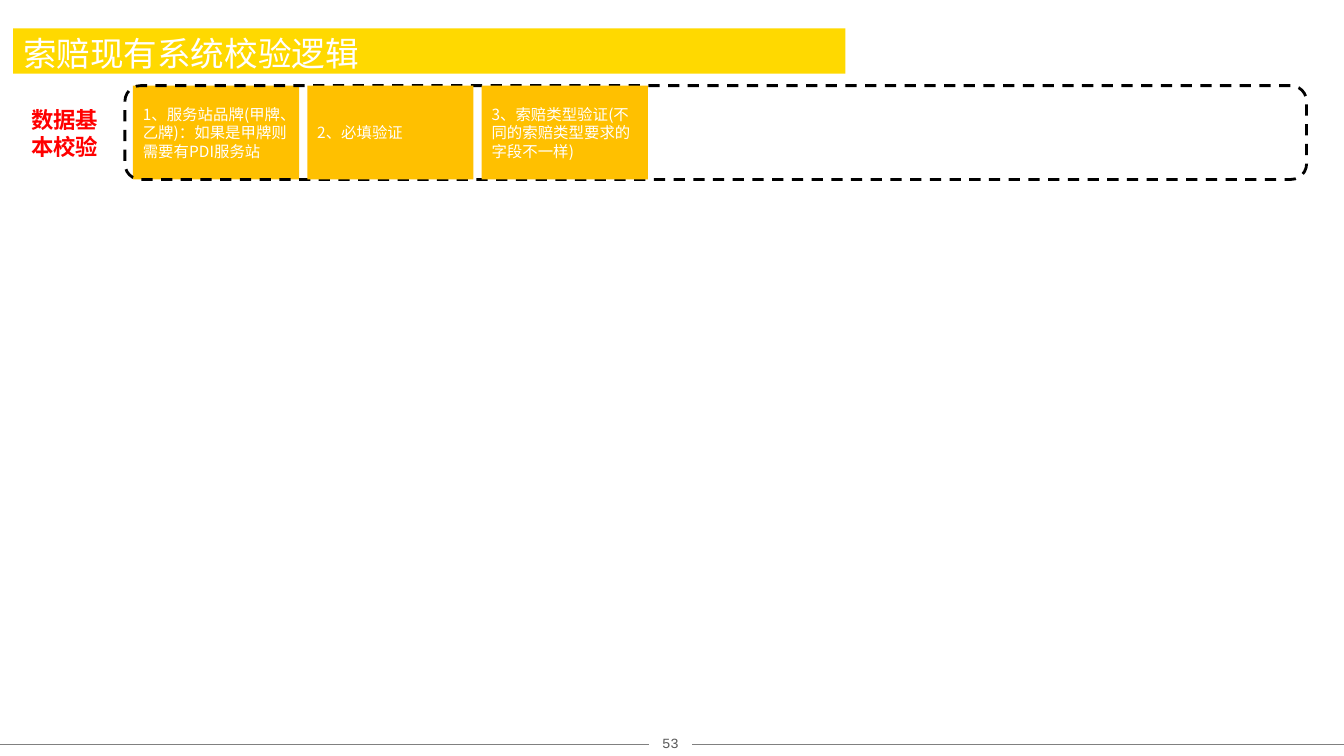
"""Build the slide on the existing claim validation logic."""
from dataclasses import dataclass
from typing import Optional

from lxml import etree
from pptx import Presentation
from pptx.dml.color import RGBColor
from pptx.enum.dml import MSO_LINE
from pptx.enum.shapes import MSO_CONNECTOR, MSO_SHAPE
from pptx.enum.text import MSO_ANCHOR, PP_ALIGN
from pptx.oxml.ns import qn
from pptx.util import Pt

WHITE = RGBColor(0xFF, 0xFF, 0xFF)
BLACK = RGBColor(0x00, 0x00, 0x00)
RED = RGBColor(0xFF, 0x00, 0x00)
YELLOW = RGBColor(0xFF, 0xD9, 0x00)
AMBER = RGBColor(0xFF, 0xC0, 0x00)
RULE_GRAY = RGBColor(0x80, 0x80, 0x80)
NUMBER_GRAY = RGBColor(0x59, 0x59, 0x59)

RECTANGLE = MSO_SHAPE.RECTANGLE
ROUNDED = MSO_SHAPE.ROUNDED_RECTANGLE
STRAIGHT = MSO_CONNECTOR.STRAIGHT
DASH = MSO_LINE.DASH
TOP, MIDDLE = MSO_ANCHOR.TOP, MSO_ANCHOR.MIDDLE
LEFT, CENTER = PP_ALIGN.LEFT, PP_ALIGN.CENTER

CJK_FONT = "Noto Sans CJK SC"
NUMBER_FONT = "Courier New"

SLIDE_WIDTH, SLIDE_HEIGHT = 960.5, 540
ROW_TOP, ROW_HEIGHT = 61.2, 67
CHECK_LEFT, CHECK_PITCH, CHECK_WIDTH = 95, 124.6, 118.8
FOOTER_Y = 531.4
NUMBER_LEFT, NUMBER_RIGHT = 463.7, 494.6

CHECKS = [
    "1、服务站品牌(甲牌、乙牌)：如果是甲牌则需要有PDI服务站",
    "2、必填验证",
    "3、索赔类型验证(不同的索赔类型要求的字段不一样)",
]


@dataclass
class Label:
    """A block of text with its place, font and optional fill."""
    text: str
    left: float
    top: float
    width: float
    height: float
    size: float
    color: RGBColor
    fill: Optional[RGBColor] = None
    font: str = CJK_FONT
    bold: bool = False
    anchor: MSO_ANCHOR = TOP
    align: PP_ALIGN = LEFT
    bottom_inset: float = 3.6


def draw_label(slide, label: Label) -> None:
    """Draw a label as a filled rectangle or a plain text box."""
    place = [Pt(v) for v in (label.left, label.top, label.width, label.height)]
    if label.fill is None:
        block = slide.shapes.add_textbox(*place)
    else:
        block = slide.shapes.add_shape(RECTANGLE, *place)
        block.shadow.inherit = False
        block.fill.solid()
        block.fill.fore_color.rgb = label.fill
        block.line.fill.background()
    frame = block.text_frame
    frame_format = {
        "word_wrap": True,
        "vertical_anchor": label.anchor,
        "margin_bottom": Pt(label.bottom_inset),
    }
    for name, value in frame_format.items():
        setattr(frame, name, value)
    paragraph = frame.paragraphs[0]
    paragraph.alignment = label.align
    run = paragraph.add_run()
    run.text = label.text
    run.font.color.rgb = label.color
    font_format = {"name": label.font, "size": Pt(label.size), "bold": label.bold}
    for name, value in font_format.items():
        setattr(run.font, name, value)
    east_asian = etree.SubElement(run._r.get_or_add_rPr(), qn("a:ea"))
    east_asian.set("typeface", label.font)


def draw_footer_rule(slide, start: float, end: float) -> None:
    """Draw one thin horizontal rule beside the page number."""
    rule = slide.shapes.add_connector(
        STRAIGHT, Pt(start), Pt(FOOTER_Y), Pt(end), Pt(FOOTER_Y))
    rule.line.color.rgb = RULE_GRAY
    rule.line.width = Pt(0.25)
    etree.SubElement(rule._element.spPr, qn("a:effectLst"))


def draw_row_frame(slide) -> None:
    """Draw the dashed frame around the row of checks."""
    row = slide.shapes.add_shape(
        ROUNDED, Pt(89.3), Pt(ROW_TOP), Pt(844.5), Pt(ROW_HEIGHT))
    row.shadow.inherit = False
    row.fill.background()
    row.line.color.rgb = BLACK
    line_format = {"width": Pt(2), "dash_style": DASH}
    for name, value in line_format.items():
        setattr(row.line, name, value)


def main() -> None:
    """Draw the slide from back to front and save it."""
    deck = Presentation()
    deck.slide_width, deck.slide_height = Pt(SLIDE_WIDTH), Pt(SLIDE_HEIGHT)
    slide = deck.slides.add_slide(deck.slide_layouts[6])

    draw_footer_rule(slide, NUMBER_RIGHT, SLIDE_WIDTH)
    draw_footer_rule(slide, 0, NUMBER_LEFT)
    page_number = Label("53", NUMBER_LEFT, 521.3, NUMBER_RIGHT - NUMBER_LEFT, 19.4,
                        10, NUMBER_GRAY, font=NUMBER_FONT, align=CENTER)
    title = Label("索赔现有系统校验逻辑", 9.4, 20.2, 594.7, 32.4, 24, WHITE,
                  fill=YELLOW, anchor=MIDDLE, bottom_inset=0)
    row_name = Label("数据基本校验", 15.1, 72, 67.7, 46, 16, RED, bold=True)
    first_check, *later_checks = [
        Label(text, CHECK_LEFT + index * CHECK_PITCH, ROW_TOP, CHECK_WIDTH,
              ROW_HEIGHT, 11, WHITE, fill=AMBER, anchor=MIDDLE)
        for index, text in enumerate(CHECKS)
    ]

    for label in (page_number, title, first_check):
        draw_label(slide, label)
    draw_row_frame(slide)
    for label in (row_name, *later_checks):
        draw_label(slide, label)
    deck.save("out.pptx")


if __name__ == "__main__":
    main()
